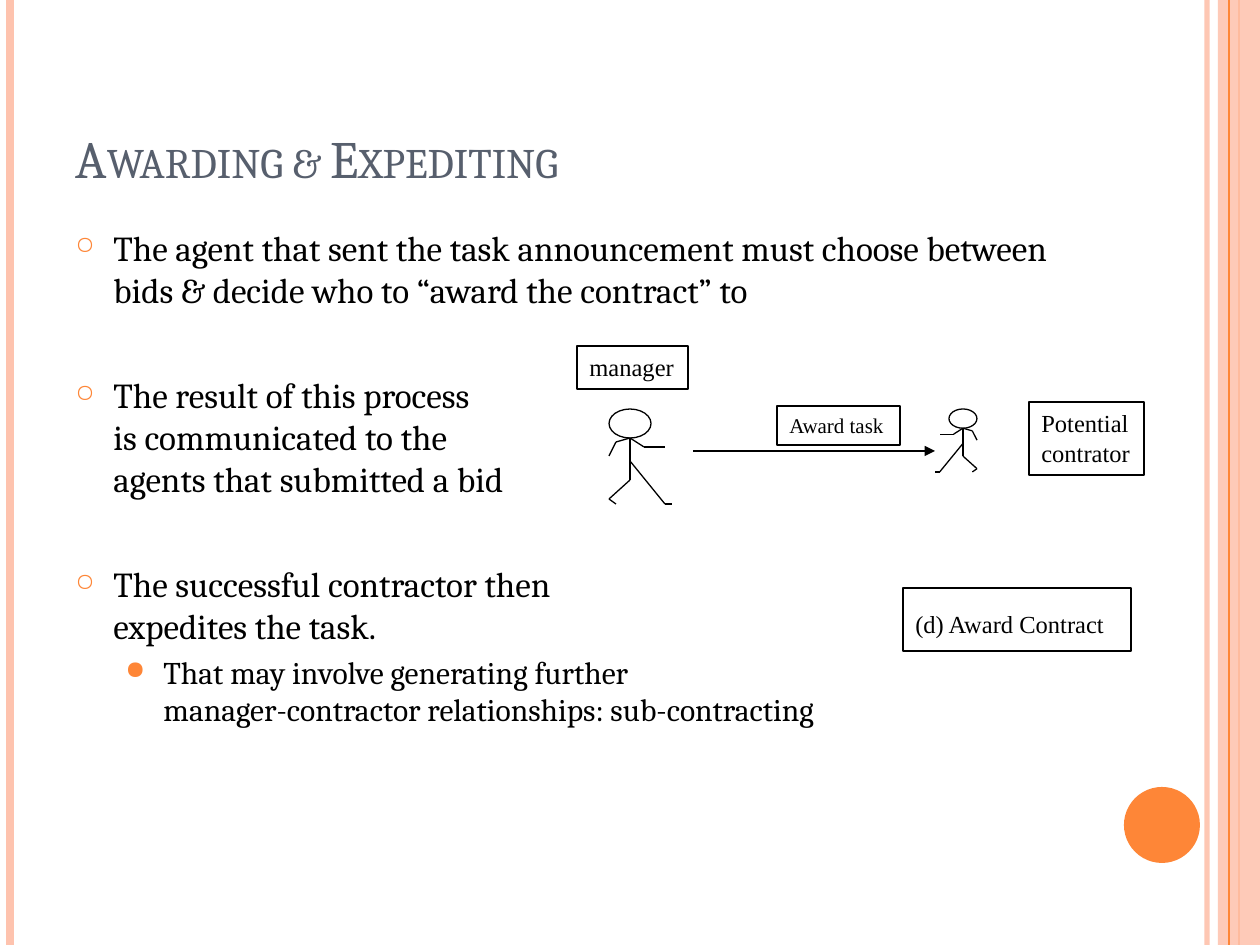
import pptx
import pptx.util
import pptx.dml.color
import pptx.enum.shapes
import pptx.enum.text
import pptx.oxml.ns
import lxml.etree

SCALE = 914400 / 126
COLORS = {"ink": "000000", "title": "575F6D", "orange": "FE8637", "peach": "FEC3AE"}
SHAPES = pptx.enum.shapes.MSO_SHAPE
qn = pptx.oxml.ns.qn


def px(length):
    return pptx.util.Emu(round(length * SCALE))


def rgb(name):
    return pptx.dml.color.RGBColor.from_string(COLORS[name])


def add_child(parent, tag, **attributes):
    return lxml.etree.SubElement(parent, qn(tag), attributes)


def set_alpha(properties, percent):
    color = next(properties.iter(qn("a:srgbClr")))
    add_child(color, "a:alpha", val=str(percent * 1000))


def add_line(slide, start, end, color="ink", weight=0.75):
    line = slide.shapes.add_connector(
        pptx.enum.shapes.MSO_CONNECTOR.STRAIGHT, *map(px, (*start, *end)))
    line.line.color.rgb = rgb(color)
    line.line.width = pptx.util.Pt(weight)
    add_child(line._element.spPr, "a:effectLst")
    return line


def add_outline(slide, kind, box, fill=None, line=None):
    shape = slide.shapes.add_shape(kind, *map(px, box))
    shape.shadow.inherit = False
    if fill:
        shape.fill.solid()
        shape.fill.fore_color.rgb = rgb(fill)
    else:
        shape.fill.background()
    if line:
        shape.line.color.rgb = rgb(line)
        shape.line.width = pptx.util.Pt(0.75)
    else:
        shape.line.fill.background()
    return shape


def style(paragraph, size, face="Cambria", color="ink"):
    paragraph.font.size = pptx.util.Pt(size)
    paragraph.font.name = face
    paragraph.font.color.rgb = rgb(color)


def add_bullet(paragraph, char, percent, margin, hanging):
    properties = paragraph._p.get_or_add_pPr()
    properties.set("marL", str(px(margin)))
    properties.set("indent", str(-px(hanging)))
    bullet_color = add_child(properties, "a:buClr")
    add_child(bullet_color, "a:srgbClr", val=COLORS["orange"])
    add_child(properties, "a:buSzPct", val=str(percent * 1000))
    add_child(properties, "a:buChar", char=char)


def draw_frame(slide, box):
    left, top, width, height = box
    right, bottom = left + width, top + height

    def rule(x, color, weight):
        return add_line(slide, (x, top), (x, bottom), color, weight)

    inner_rule = rule(right - 53, "peach", 3)
    set_alpha(inner_rule._element.spPr, 93)
    rule(left + 10, "peach", 4.5)
    rule(right - 21, "orange", 1.5)
    band = add_outline(slide, SHAPES.RECTANGLE, (right - 42, top, 42, height), "peach")
    set_alpha(band._element.spPr, 87)
    rule(right - 31, "orange", 0.75)
    add_outline(slide, SHAPES.OVAL, (right - 136, bottom - 158, 76, 76), "orange")


def write_title(slide, box, text):
    frame = slide.shapes.add_textbox(*map(px, box)).text_frame
    frame.word_wrap = True
    frame.vertical_anchor = pptx.enum.text.MSO_ANCHOR.BOTTOM
    title = frame.paragraphs[0]
    title.text = text
    title.runs[0]._r.get_or_add_rPr().set("cap", "small")
    style(title, 30, color="title")


def write_points(slide, box, points):
    frame = slide.shapes.add_textbox(*map(px, box)).text_frame
    frame.word_wrap = True
    for index, (level, text) in enumerate(points):
        point = frame.paragraphs[0] if index == 0 else frame.add_paragraph()
        point.text = text
        point.level = level
        char, percent, margin, size, gap = (
            ("○", 70, 38, 20, 36), ("●", 80, 88, 18, 3.6))[level]
        if index:
            point.space_before = pptx.util.Pt(gap)
        add_bullet(point, char, percent, margin, 38)
        style(point, size)


def draw_person(slide, box, mirrored=False):
    left, top, width, height = box

    def place(point):
        x = 63 - point[0] if mirrored else point[0]
        return left + x * width / 63, top + point[1] * height / 95

    head_left = place((42 if mirrored else 0, 0))[0]
    add_outline(slide, SHAPES.OVAL,
                (head_left, top, width * 42 / 63, height * 29 / 95), line="ink")
    neck, waist, hip = (21, 29), (21, 52), (21, 71)
    limbs = [(neck, waist, hip, (0, 90), (7, 95)),
             (waist, (56, 95), (63, 95)),
             (neck, (7, 33), (0, 47)),
             (neck, (35, 38), (56, 38))]
    for limb in limbs:
        for start, end in zip(limb, limb[1:]):
            add_line(slide, place(start), place(end))


def write_label(slide, box, lines, size=14, drop=None):
    label = add_outline(slide, SHAPES.RECTANGLE, box, line="ink")
    frame = label.text_frame
    frame.word_wrap = False
    frame.vertical_anchor = pptx.enum.text.MSO_ANCHOR.TOP
    if drop:
        frame.margin_top = px(drop)
    frame.text = "\n".join(lines)
    for paragraph in frame.paragraphs:
        paragraph.alignment = pptx.enum.text.PP_ALIGN.LEFT
        style(paragraph, size, "Times New Roman")


def draw_award(slide, box):
    left, top, width, height = box
    draw_person(slide, (left + 32, top + 63, 63, 95))
    draw_person(slide, (left + 358, top + 63, 42, 63), mirrored=True)
    arrow = add_line(slide, (left + 116, top + 105), (left + 358, top + 105))
    add_child(arrow.line._get_or_add_ln(), "a:tailEnd", type="triangle")
    write_label(slide, (left, top, 111, 43), ["manager"])
    write_label(slide, (left + 200, top + 60, 123, 39), ["Award task"], 12)
    write_label(slide, (left + width - 115, top + 56, 115, 73), ["Potential", "contrator"])
    write_label(slide, (left + 326, top + height - 63, 228, 63),
                ["(d) Award Contract"], drop=21)


def main():
    deck = pptx.Presentation()
    deck.slide_width, deck.slide_height = px(1260), px(945)
    slide = deck.slides.add_slide(deck.slide_layouts[6])
    draw_frame(slide, (0, 0, 1260, 945))
    write_title(slide, (63, 38, 1029, 157), "Awarding & Expediting")
    write_points(slide, (63, 220, 1029, 672), [
        (0, "The agent that sent the task announcement must choose between "
            "bids & decide who to “award the contract” to"),
        (0, "The result of this process\vis communicated to the\vagents that submitted a bid"),
        (0, "The successful contractor then\vexpedites the task."),
        (1, "That may involve generating further\v"
            "manager-contractor relationships: sub-contracting"),
    ])
    draw_award(slide, (577, 346, 567, 305))
    deck.save("out.pptx")


if __name__ == "__main__":
    main()
